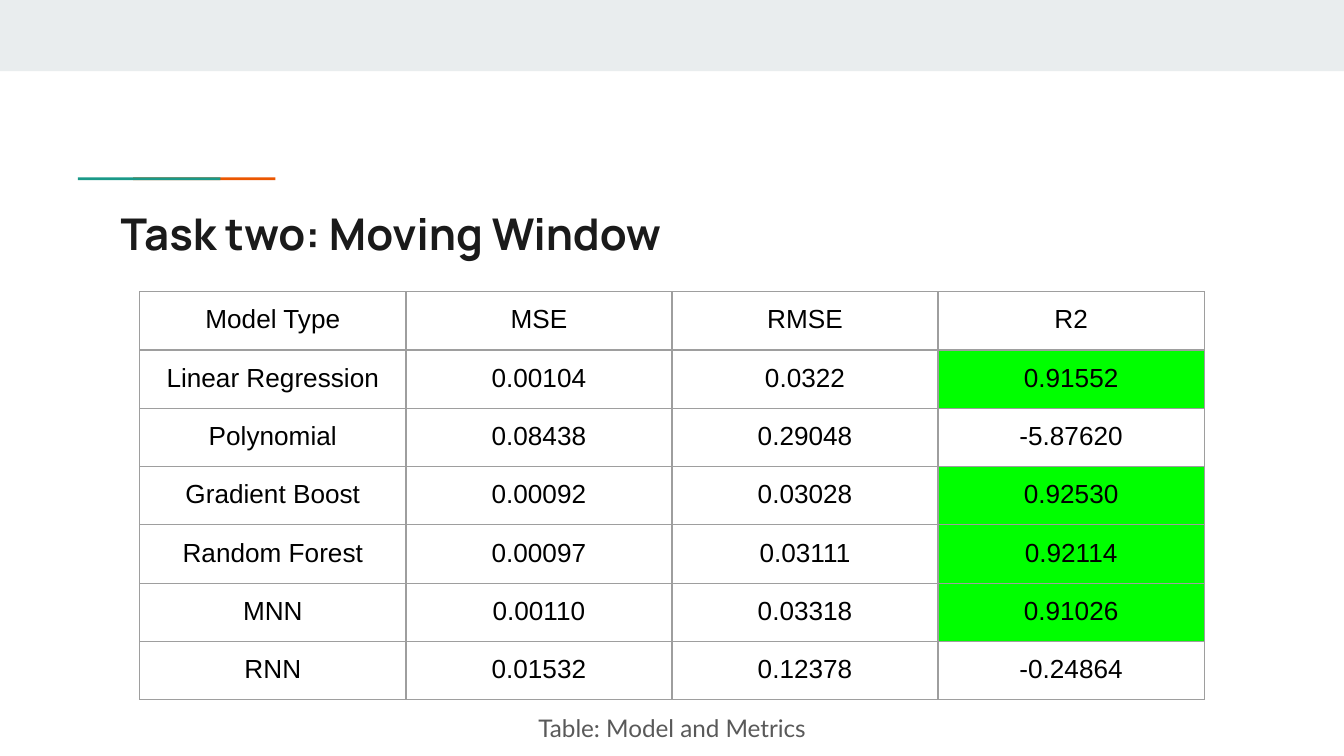
from dataclasses import dataclass

from lxml import etree
from pptx import Presentation
from pptx.dml.color import RGBColor
from pptx.enum.shapes import MSO_SHAPE
from pptx.enum.text import MSO_ANCHOR, PP_ALIGN
from pptx.oxml.ns import qn
from pptx.util import Inches, Pt

RECTANGLE = MSO_SHAPE.RECTANGLE
TOP = MSO_ANCHOR.TOP
LEFT, CENTER = PP_ALIGN.LEFT, PP_ALIGN.CENTER


@dataclass(frozen=True)
class Theme:
    band: str = "E9EDEE"
    teal: str = "1A9988"
    orange: str = "EB5600"
    title: str = "1A1A1A"
    cell: str = "000000"
    caption: str = "595959"
    border: str = "9E9E9E"
    highlight: str = "00FF00"
    title_size: float = 23.4
    cell_size: float = 14
    caption_size: float = 13
    border_width: float = 0.75


theme = Theme()


def write(frame, text, font, size, color, align, bold=False):
    frame.text = text
    frame.word_wrap = True
    para = frame.paragraphs[0]
    para.alignment = align
    span = para.runs[0]
    span.font.name = font
    span.font.size = Pt(size)
    span.font.bold = bold
    span.font.color.rgb = RGBColor.from_string(color)


def set_borders(cell, color, width):
    properties = cell._tc.get_or_add_tcPr()
    for position, side in enumerate(("a:lnL", "a:lnR", "a:lnT", "a:lnB")):
        line = etree.Element(qn(side), w=str(Pt(width)))
        fill = etree.SubElement(line, qn("a:solidFill"))
        etree.SubElement(fill, qn("a:srgbClr"), val=color)
        properties.insert(position, line)


# Widescreen page, 16:9
deck = Presentation()
deck.slide_width = Inches(10)
deck.slide_height = Inches(10 * 9 / 16)
page = deck.slides.add_slide(deck.slide_layouts[6])

# Top band and the two-colour accent line
bars = [
    (0, 0, 10, 0.53, theme.band),
    (0.99, 1.32, 1.06, 0.02, theme.orange),
    (0.58, 1.32, 1.06, 0.02, theme.teal),
]
for left, top, width, height, color in bars:
    bar = page.shapes.add_shape(
        RECTANGLE, Inches(left), Inches(top), Inches(width), Inches(height))
    bar.shadow.inherit = False
    bar.fill.solid()
    bar.fill.fore_color.rgb = RGBColor.from_string(color)
    bar.line.fill.background()

# Title and caption
texts = [
    (0.8, 1.44, 8.41, 0.59, "Task two: Moving Window",
     "Manrope", theme.title_size, theme.title, LEFT, True),
    (2.26, 5.21, 5.48, 0.42, "Table: Model and Metrics",
     "Lato", theme.caption_size, theme.caption, CENTER, False),
]
for left, top, width, height, *style in texts:
    box = page.shapes.add_textbox(
        Inches(left), Inches(top), Inches(width), Inches(height))
    frame = box.text_frame
    frame.vertical_anchor = TOP
    frame.margin_left = frame.margin_right = Inches(0.1)
    frame.margin_top = frame.margin_bottom = Inches(0.1)
    write(frame, *style)

# Metrics table
rows = [
    ("Model Type", "MSE", "RMSE", "R2"),
    ("Linear Regression", "0.00104", "0.0322", "0.91552"),
    ("Polynomial", "0.08438", "0.29048", "-5.87620"),
    ("Gradient Boost", "0.00092", "0.03028", "0.92530"),
    ("Random Forest", "0.00097", "0.03111", "0.92114"),
    ("MNN", "0.00110", "0.03318", "0.91026"),
    ("RNN", "0.01532", "0.12378", "-0.24864"),
]
row_height = 0.42
table = page.shapes.add_table(
    len(rows), len(rows[0]), Inches(1.04), Inches(2.17),
    Inches(7.92), Inches(row_height * len(rows))).table
table.first_row = False
table.horz_banding = False
for row_index, row in enumerate(rows):
    table.rows[row_index].height = Inches(row_height)
    for column_index, text in enumerate(row):
        cell = table.cell(row_index, column_index)
        cell.margin_left = cell.margin_right = Inches(0.1)
        cell.margin_top = cell.margin_bottom = Inches(0.1)
        write(cell.text_frame, text, "Arial", theme.cell_size, theme.cell, CENTER)
        # Positive R2 scores are highlighted
        if row_index > 0 and column_index == 3 and float(text) > 0:
            cell.fill.solid()
            cell.fill.fore_color.rgb = RGBColor.from_string(theme.highlight)
        else:
            cell.fill.background()
        set_borders(cell, theme.border, theme.border_width)

deck.save("out.pptx")
